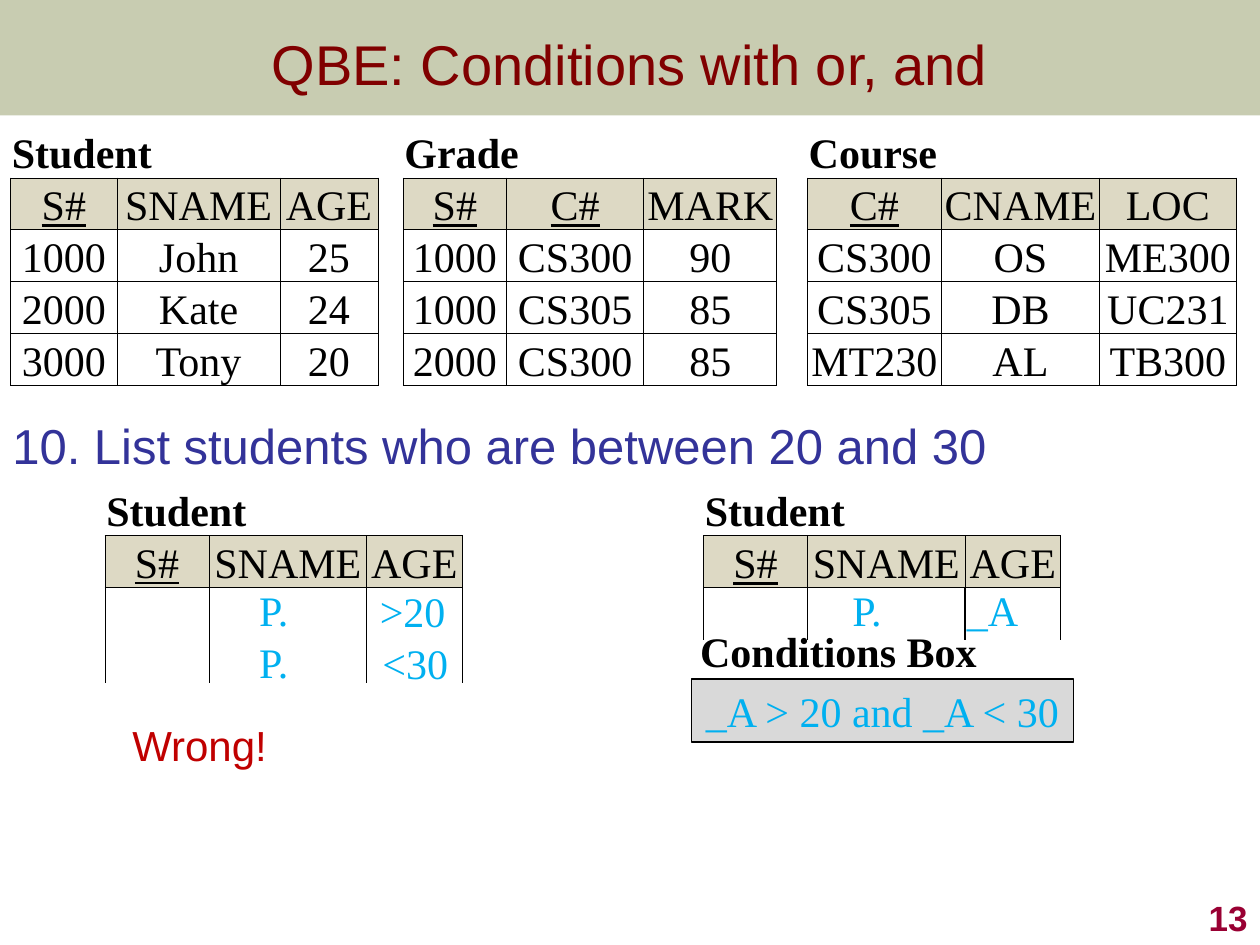
"""Build the slide on QBE conditions with sample tables and two query forms."""
from dataclasses import dataclass

from lxml import etree
from pptx import Presentation
from pptx.dml.color import RGBColor
from pptx.enum.shapes import MSO_SHAPE
from pptx.enum.text import MSO_ANCHOR, PP_ALIGN
from pptx.oxml.ns import qn
from pptx.util import Pt

LEFT, CENTER, RIGHT = PP_ALIGN.LEFT, PP_ALIGN.CENTER, PP_ALIGN.RIGHT
TOP, MIDDLE, BOTTOM = MSO_ANCHOR.TOP, MSO_ANCHOR.MIDDLE, MSO_ANCHOR.BOTTOM
RECTANGLE = MSO_SHAPE.RECTANGLE


@dataclass(frozen=True)
class Theme:
    sans: str = "Arial"
    serif: str = "Times New Roman"
    band: str = "677228"
    title: str = "800000"
    question: str = "333399"
    number: str = "990033"
    ink: str = "000000"
    paper: str = "FFFFFF"
    header: str = "DDD9C4"
    condition: str = "D9D9D9"
    query: str = "00B0F0"
    wrong: str = "C00000"
    title_size: int = 32
    question_size: int = 28
    text_size: int = 24
    number_size: int = 20


THEME = Theme()
UNDERLINED = ("S#", "C#")


def write(frame, text, font=THEME.serif, size=THEME.text_size, color=THEME.ink,
          bold=False, underline=False, align=LEFT, anchor=None, wrap=None):
    if anchor is not None:
        frame.vertical_anchor = anchor
    if wrap is not None:
        frame.word_wrap = wrap
    paragraph = frame.paragraphs[0]
    paragraph.alignment = align
    run = paragraph.add_run()
    run.text = text
    run.font.name, run.font.size = font, Pt(size)
    run.font.bold, run.font.underline = bold, underline
    run.font.color.rgb = RGBColor.from_string(color)
    return paragraph


def add_grid(left, top, widths, row_height, rows, spacers=(), closed=True, weight=0.5):
    grid = slide.shapes.add_table(len(rows), len(widths), Pt(left), Pt(top),
                                  Pt(sum(widths)), Pt(row_height * len(rows))).table
    grid.first_row = grid.horz_banding = False
    for column, width in zip(grid.columns, widths):
        column.width = Pt(width)
    for r, row in enumerate(rows):
        grid.rows[r].height = Pt(row_height)
        for c, text in enumerate(row):
            cell = grid.cell(r, c)
            cell.margin_left = cell.margin_top = cell.margin_right = Pt(0.72)
            cell.margin_bottom = 0
            cell.vertical_anchor = BOTTOM
            shaded = r == 1 and c not in spacers
            cell.fill.solid()
            cell.fill.fore_color.rgb = RGBColor.from_string(
                THEME.header if shaded else THEME.paper)
            if text:
                write(cell.text_frame, text, bold=r == 0, underline=text in UNDERLINED,
                      align=CENTER if r else LEFT)
            if c in spacers:
                sides = "LR" if r else ""
            elif r == 0:
                sides = "B"
            elif r == 1 or closed:
                sides = "LRTB"
            else:
                sides = "LRT" if r == 2 else "LR"
            properties = cell._tc.get_or_add_tcPr()
            for position, side in enumerate("LRTB"):
                width = weight if r > 1 else 0.5
                line = etree.Element(qn(f"a:ln{side}"), w=str(Pt(width)))
                if side in sides:
                    paint = etree.SubElement(line, qn("a:solidFill"))
                    etree.SubElement(paint, qn("a:srgbClr"), val=THEME.ink)
                else:
                    etree.SubElement(line, qn("a:noFill"))
                properties.insert(position, line)
    start = 0
    for end in (*spacers, len(widths)):
        grid.cell(0, start).merge(grid.cell(0, end - 1))
        start = end + 1


presentation = Presentation()
presentation.slide_width, presentation.slide_height = Pt(720), Pt(540)
slide = presentation.slides.add_slide(presentation.slide_layouts[6])

band = slide.shapes.add_shape(RECTANGLE, 0, 0, Pt(720), Pt(66))
band.shadow.inherit = False
band.fill.solid()
band.fill.fore_color.rgb = RGBColor.from_string(THEME.band)
band_color = band._element.spPr.find(qn("a:solidFill")).find(qn("a:srgbClr"))
etree.SubElement(band_color, qn("a:alpha"), val="36000")
band.line.fill.background()

title = slide.shapes.add_textbox(0, 0, Pt(720), Pt(72)).text_frame
write(title, "QBE: Conditions with or, and", font=THEME.sans, size=THEME.title_size,
      color=THEME.title, align=CENTER, anchor=MIDDLE, wrap=True)

question = slide.shapes.add_textbox(0, Pt(234), Pt(720), Pt(222)).text_frame
question.margin_top, question.margin_right = Pt(7), 0
write(question, "10. List students who are between 20 and 30", font=THEME.sans,
      size=THEME.question_size, color=THEME.question, wrap=True).line_spacing = 0.9

page_number = slide.shapes.add_textbox(Pt(570), Pt(504), Pt(150), Pt(36)).text_frame
write(page_number, "13", font=THEME.sans, size=THEME.number_size, color=THEME.number,
      bold=True, align=RIGHT, anchor=BOTTOM, wrap=True)

student_head = [("Student", "", ""), ("S#", "SNAME", "AGE")]
blank_row = ("", "", "")
query_widths = (59.5, 90, 54.5)
add_grid(60, 276.5, query_widths, 27.4, student_head + [blank_row] * 2, closed=False)
add_grid(402, 276.5, query_widths, 29.7, student_head + [blank_row], closed=False, weight=1)

sample_rows = [
    ("Student", "", "", "", "Grade", "", "", "", "Course", "", ""),
    ("S#", "SNAME", "AGE", "", "S#", "C#", "MARK", "", "C#", "CNAME", "LOC"),
    ("1000", "John", "25", "", "1000", "CS300", "90", "", "CS300", "OS", "ME300"),
    ("2000", "Kate", "24", "", "1000", "CS305", "85", "", "CS305", "DB", "UC231"),
    ("3000", "Tony", "20", "", "2000", "CS300", "85", "", "MT230", "AL", "TB300"),
]
sample_widths = (61, 93, 56, 14.5, 59, 78.5, 76, 17.5, 76.5, 90.5, 78)
add_grid(6, 72, sample_widths, 29.7, sample_rows, spacers=(3, 7))

query_format = {"color": THEME.query}
for left, top, width, text, text_format in (
    (141, 330.5, 32, "P.", query_format),
    (210, 331, 52.5, ">20", query_format),
    (141, 360, 32, "P.", query_format),
    (211.5, 360.5, 52.5, "<30", query_format),
    (480, 330.5, 32, "P.", query_format),
    (545.5, 330.5, 44, "_A", query_format),
    (68.5, 407.5, 92, "Wrong!", {"font": THEME.sans, "color": THEME.wrong}),
    (393, 354, 174, "Conditions Box", {"bold": True}),
):
    label = slide.shapes.add_textbox(Pt(left), Pt(top), Pt(width), Pt(36)).text_frame
    write(label, text, wrap=False, **text_format)

condition = slide.shapes.add_shape(RECTANGLE, Pt(395), Pt(388), Pt(218.5), Pt(36))
condition.shadow.inherit = False
condition.fill.solid()
condition.fill.fore_color.rgb = RGBColor.from_string(THEME.condition)
condition.line.color.rgb = RGBColor.from_string(THEME.ink)
condition.line.width = Pt(0.75)
write(condition.text_frame, "_A > 20 and _A < 30", align=CENTER, anchor=TOP,
      wrap=False, **query_format)

presentation.save("out.pptx")
